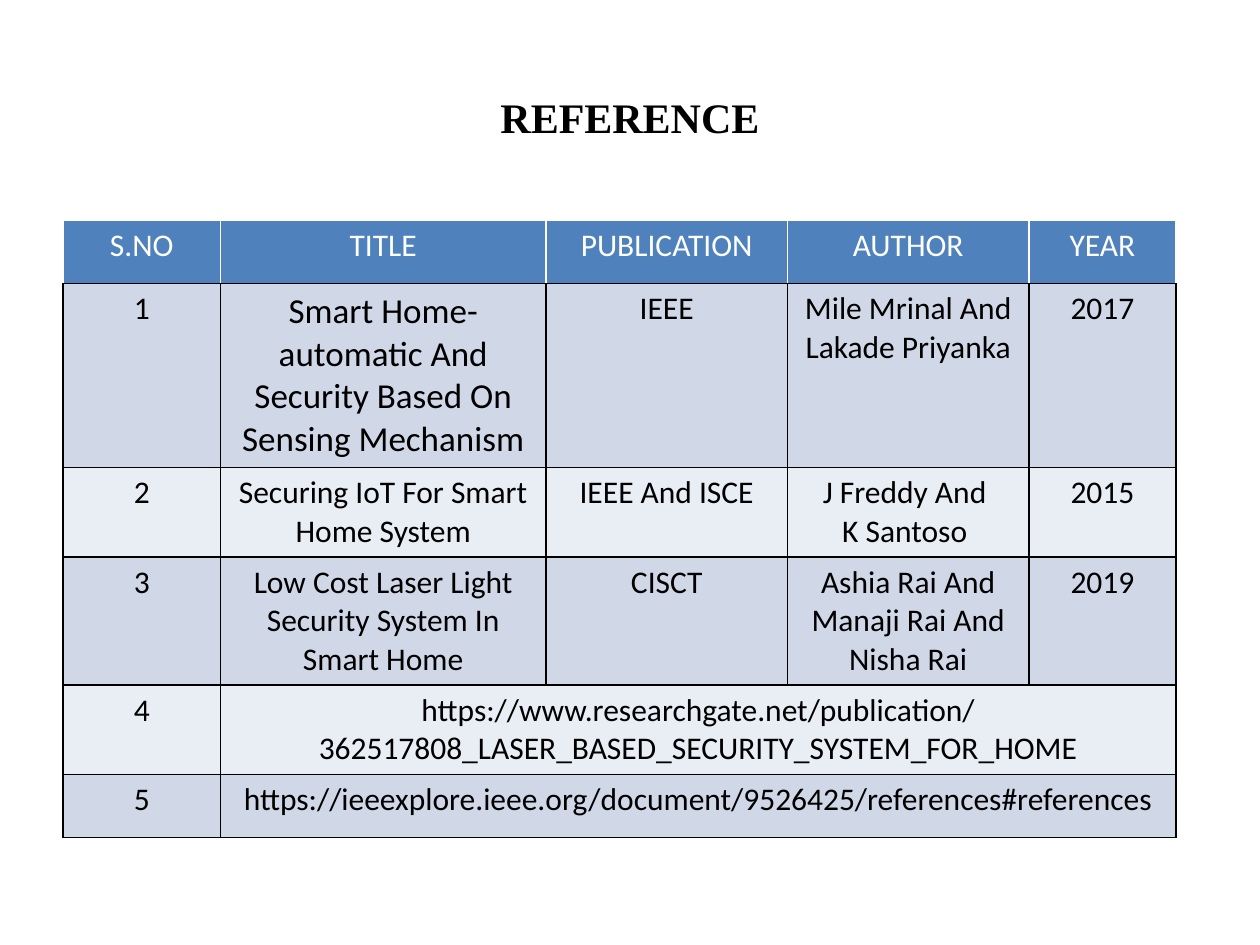
import pptx
import pptx.dml.color
import pptx.enum.text
import pptx.oxml
import pptx.oxml.ns
import pptx.util

Pt = pptx.util.Pt
RGBColor = pptx.dml.color.RGBColor
CENTER = pptx.enum.text.PP_ALIGN.CENTER

BLACK = RGBColor(0x00, 0x00, 0x00)
WHITE = RGBColor(0xFF, 0xFF, 0xFF)
HEADER_BLUE = RGBColor(0x4F, 0x81, 0xBD)
BAND_DARK = RGBColor(0xD0, 0xD8, 0xE8)
BAND_LIGHT = RGBColor(0xE9, 0xED, 0xF4)

COLUMN_WIDTHS = [90, 186, 138, 138, 84]
ROW_HEIGHT = 36

# One list per row; a short row stretches its last entry to the right edge
REFERENCES = [
    ["S.NO", "TITLE", "PUBLICATION", "AUTHOR", "YEAR"],
    ["1", "Smart Home-automatic And Security Based On Sensing Mechanism",
     "IEEE", "Mile Mrinal And Lakade Priyanka", "2017"],
    ["2", "Securing IoT For Smart Home System", "IEEE And ISCE",
     "J Freddy And \nK Santoso ", "2015"],
    ["3", "Low Cost Laser Light Security System In Smart Home", "CISCT",
     "Ashia Rai And Manaji Rai And Nisha Rai", "2019"],
    ["4", "https://www.researchgate.net/publication/"
          "362517808_LASER_BASED_SECURITY_SYSTEM_FOR_HOME"],
    ["5", "https://ieeexplore.ieee.org/document/9526425/references#references"],
]
LARGE_ENTRY = (1, 1)


def add_run(paragraph, text, font_name, size, color, bold=False):
    paragraph.alignment = CENTER
    run = paragraph.add_run()
    run.text = text
    run.font.name = font_name
    run.font.size = Pt(size)
    run.font.bold = bold
    run.font.color.rgb = color


def set_borders(cell, side_color, bottom_color):
    properties = cell._tc.get_or_add_tcPr()
    for side in "LRTB":
        color = bottom_color if side == "B" else side_color
        properties.append(pptx.oxml.parse_xml(
            f'<a:ln{side} {pptx.oxml.ns.nsdecls("a")} w="{Pt(1)}">'
            f'<a:solidFill><a:srgbClr val="{color}"/></a:solidFill>'
            f'</a:ln{side}>'))


def style_cell(cell, row):
    set_borders(cell, WHITE if row == 0 else BLACK, BLACK)
    cell.fill.solid()
    if row == 0:
        cell.fill.fore_color.rgb = HEADER_BLUE
    else:
        cell.fill.fore_color.rgb = BAND_DARK if row % 2 else BAND_LIGHT


def write_cell(cell, text, size, color):
    for index, line in enumerate(text.split("\n")):
        frame = cell.text_frame
        paragraph = frame.add_paragraph() if index else frame.paragraphs[0]
        add_run(paragraph, line, "Calibri", size, color)


def add_heading(slide):
    heading = slide.shapes.title
    heading.left, heading.top = Pt(36), Pt(21.6)
    heading.width, heading.height = Pt(648), Pt(90)
    heading.text_frame.vertical_anchor = pptx.enum.text.MSO_ANCHOR.MIDDLE
    add_run(heading.text_frame.paragraphs[0], "REFERENCE",
            "Times New Roman", 24, BLACK, bold=True)


def add_reference_table(slide):
    row_count, column_count = len(REFERENCES), len(COLUMN_WIDTHS)
    references = slide.shapes.add_table(
        row_count, column_count, Pt(36), Pt(126),
        Pt(sum(COLUMN_WIDTHS)), Pt(ROW_HEIGHT * row_count)).table
    for column, width in zip(references.columns, COLUMN_WIDTHS):
        column.width = Pt(width)

    for row, entries in enumerate(REFERENCES):
        references.rows[row].height = Pt(ROW_HEIGHT)
        for column in range(column_count):
            style_cell(references.cell(row, column), row)
        # Links span the remaining columns
        if len(entries) < column_count:
            references.cell(row, len(entries) - 1).merge(
                references.cell(row, column_count - 1))
        for column, text in enumerate(entries):
            size = 20 if (row, column) == LARGE_ENTRY else 18
            write_cell(references.cell(row, column), text, size,
                       BLACK if row else WHITE)


def main():
    presentation = pptx.Presentation()
    presentation.slide_width, presentation.slide_height = Pt(720), Pt(540)
    # Title Only layout
    slide = presentation.slides.add_slide(presentation.slide_layouts[5])
    add_heading(slide)
    add_reference_table(slide)
    presentation.save("out.pptx")


if __name__ == "__main__":
    main()
